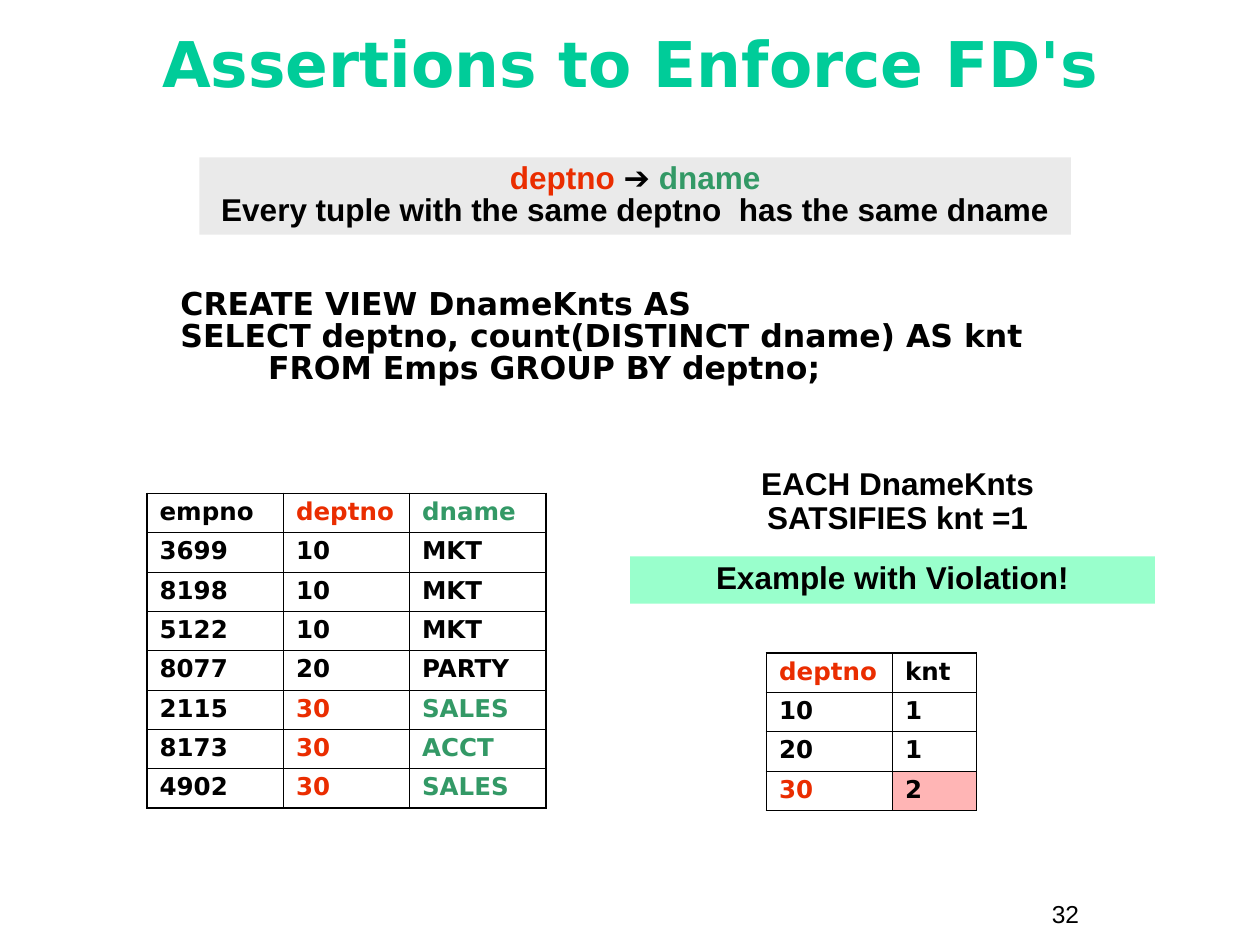
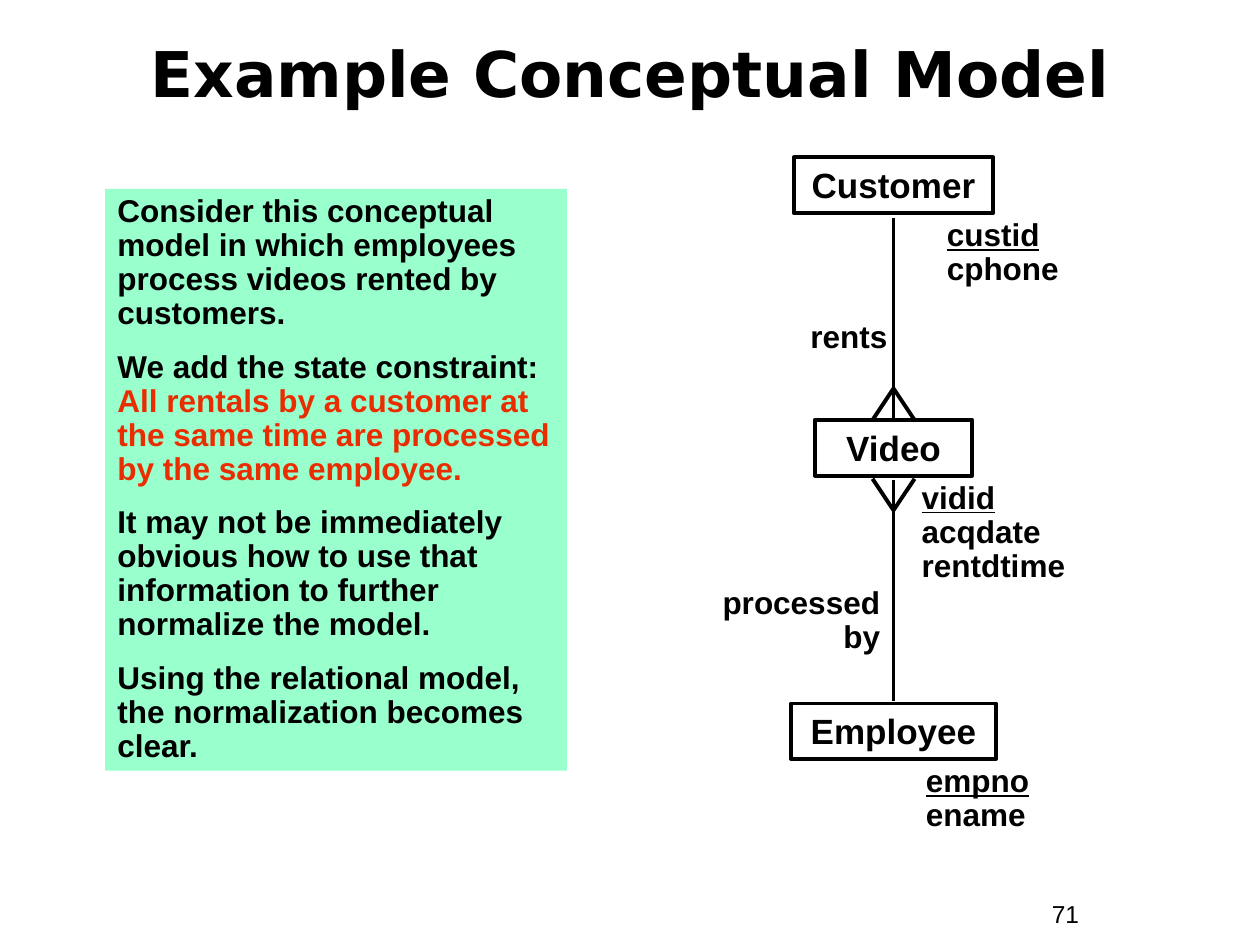
"""Build two database lecture slides: enforcing FDs and a conceptual model."""
import dataclasses

import lxml.etree
import pptx
import pptx.dml.color
import pptx.enum.shapes
import pptx.enum.text
import pptx.oxml.ns
import pptx.util

COLS, ROWS = 120, 90
WIDTH, HEIGHT = pptx.util.Inches(10), pptx.util.Inches(7.5)
ALIGN = pptx.enum.text.PP_ALIGN
ANCHOR = pptx.enum.text.MSO_ANCHOR
qn = pptx.oxml.ns.qn


@dataclasses.dataclass(frozen=True)
class Theme:
    """Colours, fonts, type sizes and line widths."""
    ink: str = "000000"
    teal: str = "00CC99"
    red: str = "EA2D00"
    green: str = "339966"
    mint: str = "99FFCC"
    grey: str = "EAEAEA"
    pink: str = "FFB5B5"
    sans: str = "Arial"
    wide: str = "DejaVu Sans"
    title: int = 36
    entity: int = 20
    body: int = 18
    small: int = 14
    tight: float = 0.85
    snug: float = 0.9
    gap: float = 11.2
    stroke: float = 2.25
    frame: float = 1.08
    rule: float = 0.45


T = Theme()


@dataclasses.dataclass(frozen=True)
class Box:
    """A rectangle in grid columns and rows."""
    x: float
    y: float
    w: float
    h: float

    def sub(self, dx, dy, w, h):
        """Return a box placed relative to this one."""
        return Box(self.x + dx, self.y + dy, w, h)

    def emu(self):
        """Return left, top, width and height in EMU."""
        return col(self.x), row(self.y), col(self.w), row(self.h)


def col(n):
    """Convert grid columns to EMU."""
    return int(WIDTH * n / COLS)


def row(n):
    """Convert grid rows to EMU."""
    return int(HEIGHT * n / ROWS)


def rgb(value):
    """Convert a hex string to a colour."""
    return pptx.dml.color.RGBColor.from_string(value)


def write(tf, paragraphs, size=T.body, font=T.sans, align=ALIGN.LEFT,
          spacing=T.snug, bold=True):
    """Fill a text frame with paragraphs of plain text or (text, colour) parts."""
    tf.word_wrap = True
    for i, parts in enumerate(paragraphs):
        p = tf.add_paragraph() if i else tf.paragraphs[0]
        p.alignment, p.line_spacing = align, spacing
        if i and len(paragraphs) > 1:
            p.space_before = pptx.util.Pt(T.gap)
        for text, color in [(parts, T.ink)] if isinstance(parts, str) else parts:
            for j, line in enumerate(text.split("\n")):
                if j:
                    p.add_line_break()
                if line:
                    r = p.add_run()
                    r.text = line
                    r.font.size, r.font.name = pptx.util.Pt(size), font
                    r.font.bold = bold
                    r.font.color.rgb = rgb(color)


def label(s, box, paragraphs, **style):
    """Add a text box and return its frame."""
    tf = s.shapes.add_textbox(*box.emu()).text_frame
    write(tf, paragraphs, **style)
    return tf


def panel(s, box, paragraphs, fill=None, line=None, **style):
    """Add a rectangle with text."""
    sp = s.shapes.add_shape(pptx.enum.shapes.MSO_SHAPE.RECTANGLE, *box.emu())
    sp.shadow.inherit = False
    if fill:
        sp.fill.solid()
        sp.fill.fore_color.rgb = rgb(fill)
    else:
        sp.fill.background()
    if line:
        sp.line.color.rgb = rgb(line)
        sp.line.width = pptx.util.Pt(T.stroke)
    else:
        sp.line.fill.background()
    sp.text_frame.vertical_anchor = ANCHOR.TOP
    write(sp.text_frame, paragraphs, **style)


def stroke(s, x1, y1, x2, y2):
    """Draw a straight line between two grid points."""
    cx = s.shapes.add_connector(pptx.enum.shapes.MSO_CONNECTOR.STRAIGHT,
                                col(x1), row(y1), col(x2), row(y2))
    cx.line.color.rgb = rgb(T.ink)
    cx.line.width = pptx.util.Pt(T.stroke)
    lxml.etree.SubElement(cx._element.spPr, qn("a:effectLst"))


def border(cell, widths):
    """Set the left, right, top and bottom borders of a cell."""
    tc_pr = cell._tc.get_or_add_tcPr()
    for i, (side, width) in enumerate(zip("LRTB", widths)):
        ln = lxml.etree.Element(qn("a:ln" + side), w=str(pptx.util.Pt(width)))
        fill = lxml.etree.SubElement(ln, qn("a:solidFill"))
        lxml.etree.SubElement(fill, qn("a:srgbClr"), val=T.ink)
        tc_pr.insert(i, ln)


def data_table(s, box, widths, rows, colors, fills):
    """Add a framed table; colors and fills are keyed by (row, column)."""
    tbl = s.shapes.add_table(len(rows), len(widths), *box.emu()).table
    tbl.first_row = tbl.horz_banding = False
    for c, width in enumerate(widths):
        tbl.columns[c].width = col(width)
    for i, values in enumerate(rows):
        tbl.rows[i].height = row(box.h / len(rows))
        for c, value in enumerate(values):
            cell = tbl.cell(i, c)
            write(cell.text_frame, [[(value, colors.get((i, c), T.ink))]],
                  size=T.small, font=T.wide)
            if (i, c) in fills:
                cell.fill.solid()
                cell.fill.fore_color.rgb = rgb(fills[i, c])
            else:
                cell.fill.background()
            edges = c == 0, c == len(widths) - 1, i == 0, i == len(rows) - 1
            border(cell, [T.frame if edge else T.rule for edge in edges])


def new_slide(prs, title, box, color, number):
    """Add a blank slide with its title and number."""
    s = prs.slides.add_slide(prs.slide_layouts[6])
    tf = label(s, box, [[(title, color)]], size=T.title, font=T.wide,
               align=ALIGN.CENTER, spacing=T.tight)
    tf.vertical_anchor = ANCHOR.MIDDLE
    label(s, Box(99, 85, 11, 4), [number], size=T.small, spacing=1.0, bold=False)
    return s


def dependency(s, box):
    """State the functional dependency and the view that counts names."""
    panel(s, box.sub(3, 0, 83, 7.35),
          [[("deptno ", T.red), ("➔ ", T.ink), ("dname\n", T.green),
            ("Every tuple with the same deptno  has the same dname", T.ink)]],
          fill=T.grey, align=ALIGN.CENTER, spacing=T.tight)
    label(s, box.sub(0, 12, box.w, 10.5),
          ["CREATE VIEW DnameKnts AS\n"
           "SELECT deptno, count(DISTINCT dname) AS knt\n"
           "        FROM Emps GROUP BY deptno;"],
          font=T.wide, spacing=T.tight)


def employees(s, box):
    """Show the employee table with the offending department coloured."""
    rows = [("empno", "deptno", "dname"),
            ("3699", "10", "MKT"), ("8198", "10", "MKT"), ("5122", "10", "MKT"),
            ("8077", "20", "PARTY"), ("2115", "30", "SALES"),
            ("8173", "30", "ACCT"), ("4902", "30", "SALES")]
    colors = {(i, c): color for i in (0, 5, 6, 7)
              for c, color in ((1, T.red), (2, T.green))}
    data_table(s, box, (13, 12, 13), rows, colors, {})


def violation(s, box):
    """Show the assertion and the counts that break it."""
    label(s, box.sub(2, 0, 47, 7.7), ["EACH DnameKnts\nSATSIFIES knt =1"],
          align=ALIGN.CENTER)
    panel(s, box.sub(0, 9, box.w, 4.5), ["Example with Violation!"],
          fill=T.mint, align=ALIGN.CENTER)
    data_table(s, box.sub(13, 18.2, 20, 15), (12, 8),
               [("deptno", "knt"), ("10", "1"), ("20", "1"), ("30", "2")],
               {(0, 0): T.red, (3, 0): T.red}, {(3, 1): T.pink})


def explanation(s, box):
    """Explain the state constraint."""
    panel(s, box, [
        "Consider this conceptual model in which employees process videos "
        "rented by customers.",
        [("We add the state constraint:\n", T.ink),
         ("All rentals by a customer at the same time are processed by the "
          "same employee.", T.red)],
        "It may not be immediately obvious how to use that information to "
        "further normalize the model.",
        "Using the relational model, the normalization becomes clear."],
        fill=T.mint)


def entity(s, axis, top, width, name, attributes, dx):
    """Draw an entity centred on the axis, its key underlined below it."""
    height = 5.3
    panel(s, Box(axis - width / 2, top, width, height), [name], line=T.ink,
          size=T.entity, align=ALIGN.CENTER, spacing=1.0)
    tf = label(s, Box(axis + dx, top + height, 17, 3.25 * len(attributes) + 1.2),
               ["\n".join(attributes)])
    tf.paragraphs[0].runs[0].font.underline = True


def crow_foot(s, axis, apex, base):
    """Draw the two toes of a many-end."""
    for toe in (-2, 2):
        stroke(s, axis, apex, axis + toe, base)


def er_diagram(s, box):
    """Draw the entities and relationships on one vertical axis."""
    axis, top = box.x + 19.1, box.y
    for y, width, name, attributes, dx in (
            (0, 19, "Customer", ("custid", "cphone"), 3.9),
            (25, 15, "Video", ("vidid", "acqdate", "rentdtime"), 1.5),
            (52, 19.5, "Employee", ("empno", "ename"), 1.9)):
        entity(s, axis, top + y, width, name, attributes, dx)
    stroke(s, axis, top + 5.8, axis, top + 24.8)
    stroke(s, axis, top + 30.7, axis, top + 51.8)
    crow_foot(s, axis, top + 22, top + 25)
    crow_foot(s, axis, top + 33.6, top + 30.6)
    label(s, box.sub(10, 15, 14, 4.5), ["rents"])
    label(s, box.sub(0, 40.3, 19, 7.7), ["processed by"], align=ALIGN.RIGHT)


def main():
    """Build and save the presentation."""
    prs = pptx.Presentation()
    prs.slide_width, prs.slide_height = WIDTH, HEIGHT

    s = new_slide(prs, "Assertions to Enforce FD's", Box(4, 1, 112, 11), T.teal, "32")
    dependency(s, Box(16, 15, 88, 22.5))
    employees(s, Box(14, 47, 38, 30))
    violation(s, Box(60, 44, 50, 33.2))

    s = new_slide(prs, "Example Conceptual Model", Box(9, 2, 102, 11), T.ink, "71")
    explanation(s, Box(10, 18, 44, 55.4))
    er_diagram(s, Box(66, 15, 38, 65))

    prs.save("out.pptx")


if __name__ == "__main__":
    main()
